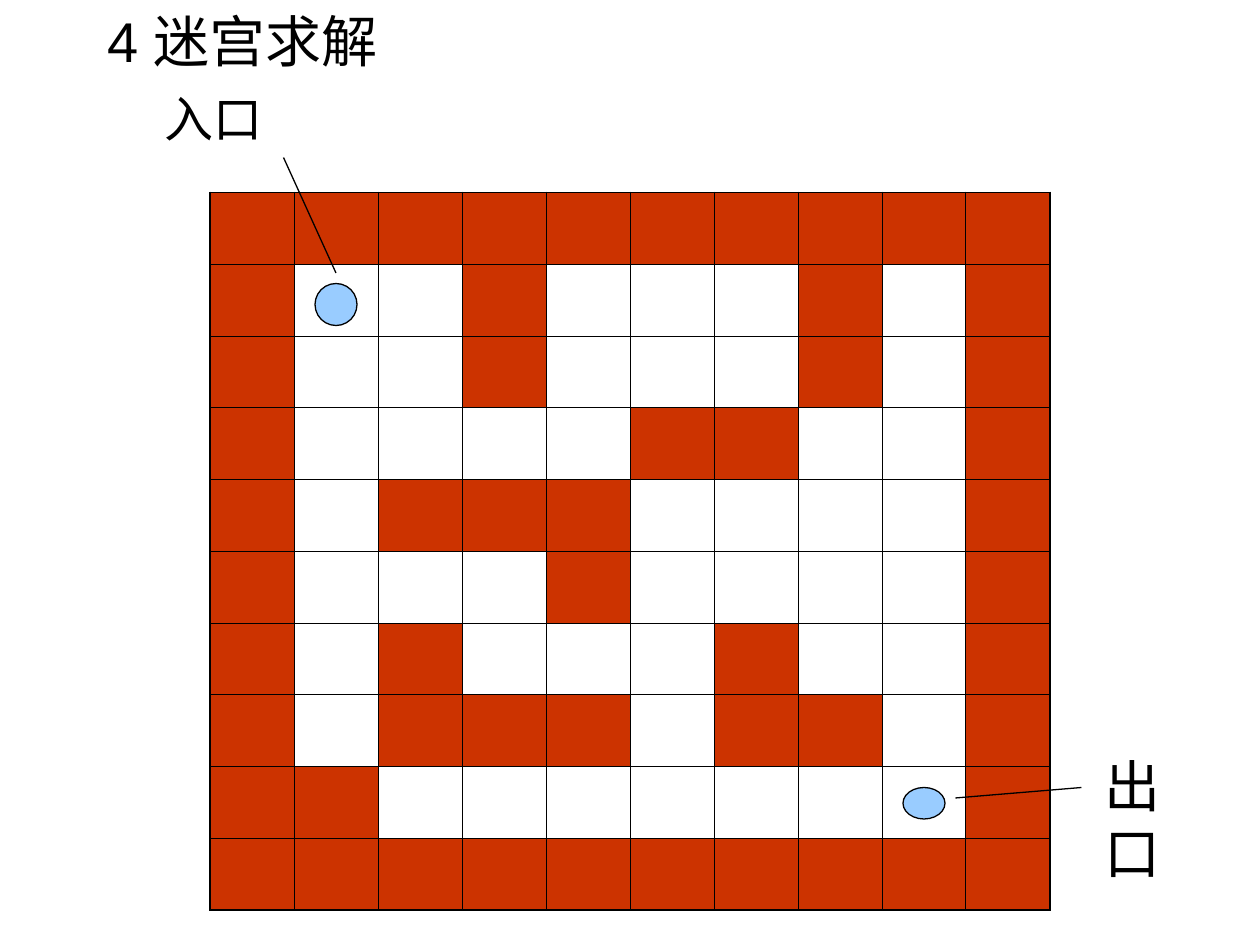
from lxml import etree
from pptx import Presentation
from pptx.dml.color import RGBColor
from pptx.enum.shapes import MSO_CONNECTOR, MSO_SHAPE
from pptx.enum.text import MSO_ANCHOR, MSO_AUTO_SIZE, PP_ALIGN
from pptx.oxml.ns import qn
from pptx.util import Pt

STRAIGHT = MSO_CONNECTOR.STRAIGHT
CONNECTOR_CIRCLE, OVAL = MSO_SHAPE.FLOWCHART_CONNECTOR, MSO_SHAPE.OVAL
TOP, LEFT, NO_FIT = MSO_ANCHOR.TOP, PP_ALIGN.LEFT, MSO_AUTO_SIZE.NONE

BLACK, WALL, MARKER = "000000", "CC3300", "99CCFF"
THIN, THICK = 0.45, 1.08
CELL_W, CELL_H = 48, 41
MAZE = [
    "##########",
    "#..#...#.#",
    "#..#...#.#",
    "#....##..#",
    "#.###....#",
    "#...#....#",
    "#.#...#..#",
    "#.###.##.#",
    "##.......#",
    "##########",
]


def color(value):
    """Return the colour for a hex string."""
    return RGBColor.from_string(value)


def set_text(sp, text, size, font):
    """Write one left-aligned paragraph at the top of a shape."""
    tf = sp.text_frame
    tf.word_wrap = True
    tf.auto_size = NO_FIT
    tf.vertical_anchor = TOP
    p = tf.paragraphs[0]
    p.text = text
    p.alignment = LEFT
    p.font.size = Pt(size)
    p.font.name = font
    p.font.color.rgb = color(BLACK)


def add_title(s, text, x, y, w, h):
    """Place and format the title placeholder."""
    sp = s.shapes.title
    sp.left, sp.top, sp.width, sp.height = Pt(x), Pt(y), Pt(w), Pt(h)
    set_text(sp, text, 32, "Arial")


def add_label(s, text, x, y, w, h, size, font):
    """Add a text box."""
    set_text(s.shapes.add_textbox(Pt(x), Pt(y), Pt(w), Pt(h)), text, size, font)


def set_border(cell, side, width):
    """Draw one border of a table cell."""
    ln = etree.SubElement(cell._tc.get_or_add_tcPr(), qn(f"a:ln{side}"), w=str(Pt(width)))
    fill = etree.SubElement(ln, qn("a:solidFill"))
    etree.SubElement(fill, qn("a:srgbClr"), val=BLACK)


def add_maze(s, x, y):
    """Add the maze as a table with filled wall cells."""
    rows, cols = len(MAZE), len(MAZE[0])
    frame = s.shapes.add_table(rows, cols, Pt(x), Pt(y), Pt(cols * CELL_W), Pt(rows * CELL_H))
    table = frame.table
    table.first_row = table.horz_banding = False
    for row in table.rows:
        row.height = Pt(CELL_H)
    for i, line in enumerate(MAZE):
        for j, mark in enumerate(line):
            cell = table.cell(i, j)
            outer = {"L": j == 0, "R": j == cols - 1, "T": i == 0, "B": i == rows - 1}
            for side, is_outer in outer.items():
                set_border(cell, side, THICK if is_outer else THIN)
            if mark == "#":
                cell.fill.solid()
                cell.fill.fore_color.rgb = color(WALL)
            else:
                cell.fill.background()


def add_marker(s, kind, x, y, w, h):
    """Add a round marker in a maze cell."""
    sp = s.shapes.add_shape(kind, Pt(x), Pt(y), Pt(w), Pt(h))
    sp.shadow.inherit = False
    sp.fill.solid()
    sp.fill.fore_color.rgb = color(MARKER)
    sp.line.color.rgb = color(BLACK)
    sp.line.width = Pt(0.75)


def add_pointer(s, x1, y1, x2, y2):
    """Add a thin line from a marker to its label."""
    line = s.shapes.add_connector(STRAIGHT, Pt(x1), Pt(y1), Pt(x2), Pt(y2))
    line.line.color.rgb = color(BLACK)
    line.line.width = Pt(0.75)
    etree.SubElement(line._element.spPr, qn("a:effectLst"))


def main():
    """Build the maze slide."""
    prs = Presentation()
    prs.slide_width, prs.slide_height = Pt(720), Pt(540)
    s = prs.slides.add_slide(prs.slide_layouts[5])
    add_title(s, "4 迷宫求解", 54, 0, 642, 48)
    add_label(s, "入口", 87, 47, 80, 46, 28, "Arial")
    add_maze(s, 120, 110)
    add_marker(s, CONNECTOR_CIRCLE, 180, 162, 24, 24)
    add_pointer(s, 192, 156, 162, 90)
    add_marker(s, OVAL, 516, 450, 24, 18)
    add_pointer(s, 546, 456, 618, 450)
    add_label(s, "出口", 624, 426, 48, 84, 32, "Times New Roman")
    prs.save("out.pptx")


if __name__ == "__main__":
    main()
